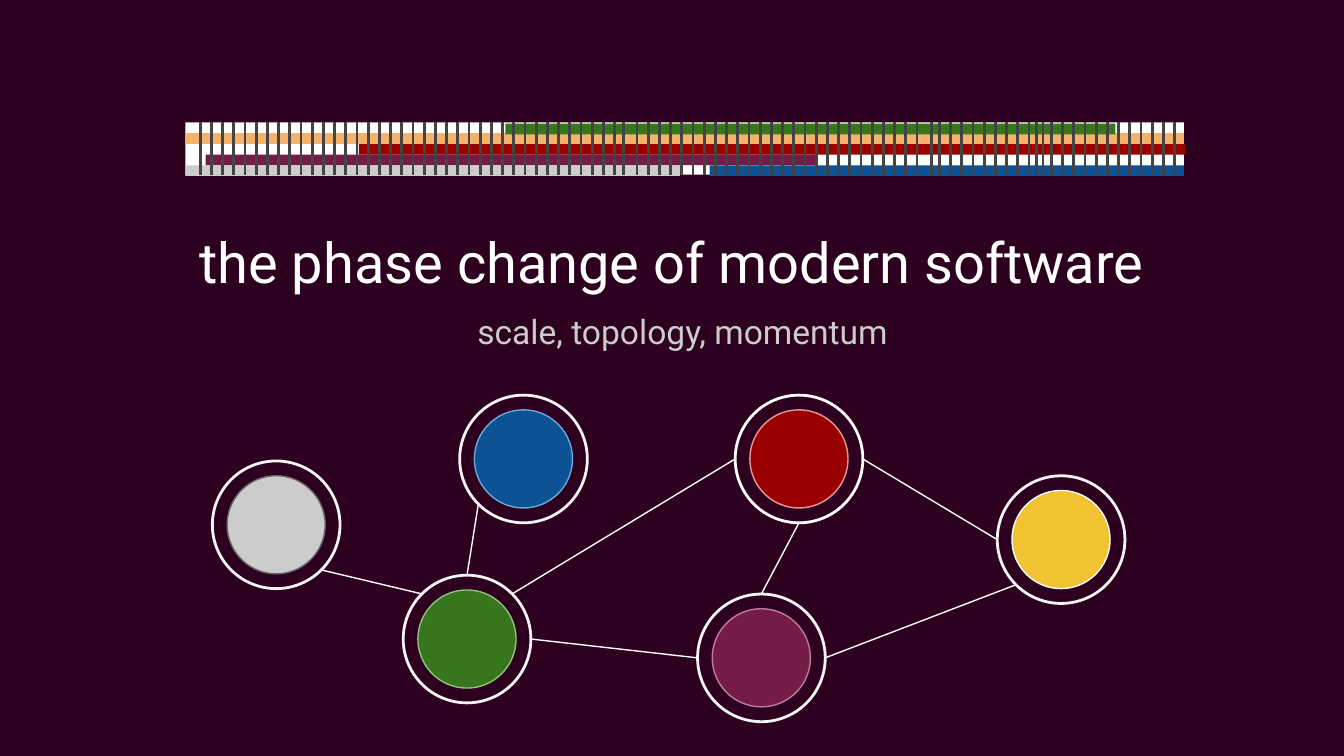
from math import cos, radians, sin

from lxml.etree import SubElement
from pptx import Presentation
from pptx.dml.color import RGBColor
from pptx.enum.shapes import MSO_CONNECTOR as CONN, MSO_SHAPE as SHAPE
from pptx.enum.text import MSO_ANCHOR as ANCHOR, PP_ALIGN as ALIGN
from pptx.oxml.ns import qn
from pptx.util import Inches, Pt

BACKGROUND = RGBColor(0x2C, 0x00, 0x1E)
WHITE = RGBColor(0xFF, 0xFF, 0xFF)
OFF_WHITE = RGBColor(0xF3, 0xF3, 0xF3)
LIGHT_GRAY = RGBColor(0xCC, 0xCC, 0xCC)
MID_GRAY = RGBColor(0x66, 0x66, 0x66)
DARK_GRAY = RGBColor(0x43, 0x43, 0x43)
PLUM = RGBColor(0x74, 0x1B, 0x47)
PINK = RGBColor(0xC2, 0x7B, 0xA0)
BLUE = RGBColor(0x0B, 0x53, 0x94)
SKY = RGBColor(0x6F, 0xA8, 0xDC)
RED = RGBColor(0x99, 0x00, 0x00)
ROSE = RGBColor(0xEA, 0x99, 0x99)
ORANGE = RGBColor(0xF6, 0xB2, 0x6B)
GREEN = RGBColor(0x38, 0x76, 0x1D)
LIME = RGBColor(0x93, 0xC4, 0x7D)
YELLOW = RGBColor(0xF1, 0xC2, 0x32)

SLIDE_WIDTH = 10
SLIDE_HEIGHT = SLIDE_WIDTH * 9 / 16

# text, box, anchor, font format, colour, paragraph format
TEXTS = [
    ("the phase change of modern software", (0.75, 1.47, 8.5, 0.95), ANCHOR.MIDDLE,
     {"size": Pt(30), "name": "Roboto"}, WHITE, {}),
    ("scale, topology, momentum", (0.83, 2.17, 8.5, 0.64), ANCHOR.TOP,
     {"size": Pt(18), "name": "Roboto"}, LIGHT_GRAY,
     {"line_spacing": 1.15, "space_after": Pt(10)}),
]

# left, top, width, height, colour
BAND_TOP, BAND_BOTTOM = 0.91, 1.3
BARS = [
    (1.38, BAND_TOP, 7.43, BAND_BOTTOM - BAND_TOP, WHITE),
    (1.38, 1.23, 3.68, 0.08, LIGHT_GRAY),
    (1.53, 1.15, 4.54, 0.08, PLUM),
    (5.28, 1.23, 3.53, 0.08, BLUE),
    (2.67, 1.07, 6.15, 0.08, RED),
    (1.38, 0.99, 7.43, 0.08, ORANGE),
    (3.76, 0.92, 4.54, 0.08, GREEN),
]

# Evenly spaced ticks, with a few uneven ones keyed by index
TICK_COUNT, TICK_START, TICK_STEP = 88, 1.49, 1 / 12
UNEVEN_TICKS = {38: [4.64], 65: [6.93], 75: [7.71, 7.76]}

# name: (ring left, ring top, ring colour, disc fill, disc outline)
RING, DISC = 0.95, 0.73
NODES = {
    "gray": (1.58, 3.43, OFF_WHITE, LIGHT_GRAY, MID_GRAY),
    "green": (3, 4.28, OFF_WHITE, GREEN, LIME),
    "blue": (3.42, 2.94, OFF_WHITE, BLUE, SKY),
    "plum": (5.19, 4.42, OFF_WHITE, PLUM, PINK),
    "yellow": (7.42, 3.54, OFF_WHITE, YELLOW, WHITE),
    "red": (5.47, 2.94, WHITE, RED, ROSE),
}
ANGLES = {"E": 0, "SE": 45, "S": 90, "SW": 135, "W": 180, "NW": 225, "N": 270, "NE": 315}
LINKS = [
    ("green", "NW", "gray", "SE"),
    ("red", "E", "yellow", "W"),
    ("red", "S", "plum", "N"),
    ("red", "W", "green", "NE"),
    ("plum", "W", "green", "E"),
    ("blue", "SW", "green", "N"),
    ("plum", "E", "yellow", "SW"),
]


def add_shape(kind, box, fill=None, line=None, width=0.75):
    sp = s.shapes.add_shape(kind, *map(Inches, box))
    sp.shadow.inherit = False
    if fill is None:
        sp.fill.background()
    else:
        sp.fill.solid()
        sp.fill.fore_color.rgb = fill
    if line is None:
        sp.line.fill.background()
    else:
        sp.line.color.rgb = line
        sp.line.width = Pt(width)


def add_line(start, end, color, width):
    cxn = s.shapes.add_connector(CONN.STRAIGHT, *map(Inches, (*start, *end)))
    cxn.line.color.rgb = color
    cxn.line.width = Pt(width)
    SubElement(cxn._element.spPr, qn("a:effectLst"))


def ring_point(node, side):
    """Point on a node's ring in the given compass direction."""
    left, top = NODES[node][:2]
    angle, radius = radians(ANGLES[side]), RING / 2
    return left + radius * (1 + cos(angle)), top + radius * (1 + sin(angle))


prs = Presentation()
prs.slide_width, prs.slide_height = Inches(SLIDE_WIDTH), Inches(SLIDE_HEIGHT)
s = prs.slides.add_slide(prs.slide_layouts[6])
s.background.fill.solid()
s.background.fill.fore_color.rgb = BACKGROUND

for text, box, anchor, font, color, layout in TEXTS:
    tf = s.shapes.add_textbox(*map(Inches, box)).text_frame
    tf.word_wrap = True
    tf.vertical_anchor = anchor
    for side in ("left", "top", "right", "bottom"):
        setattr(tf, f"margin_{side}", Inches(0.1))
    p = tf.paragraphs[0]
    p.alignment = ALIGN.CENTER
    for key, value in layout.items():
        setattr(p, key, value)
    r = p.add_run()
    r.text = text
    for key, value in font.items():
        setattr(r.font, key, value)
    r.font.color.rgb = color

for *box, color in BARS:
    add_shape(SHAPE.RECTANGLE, box, color)

for i in range(TICK_COUNT):
    for x in UNEVEN_TICKS.get(i, [TICK_START + i * TICK_STEP]):
        add_line((x, BAND_TOP), (x, BAND_BOTTOM), DARK_GRAY, 1.5)

inset = (RING - DISC) / 2
for left, top, ring_color, fill, outline in NODES.values():
    add_shape(SHAPE.OVAL, (left, top, RING, RING), line=ring_color, width=1.5)
    add_shape(SHAPE.OVAL, (left + inset, top + inset, DISC, DISC), fill, outline)

for start, start_side, end, end_side in LINKS:
    add_line(ring_point(start, start_side), ring_point(end, end_side), WHITE, 0.75)

prs.save("out.pptx")
